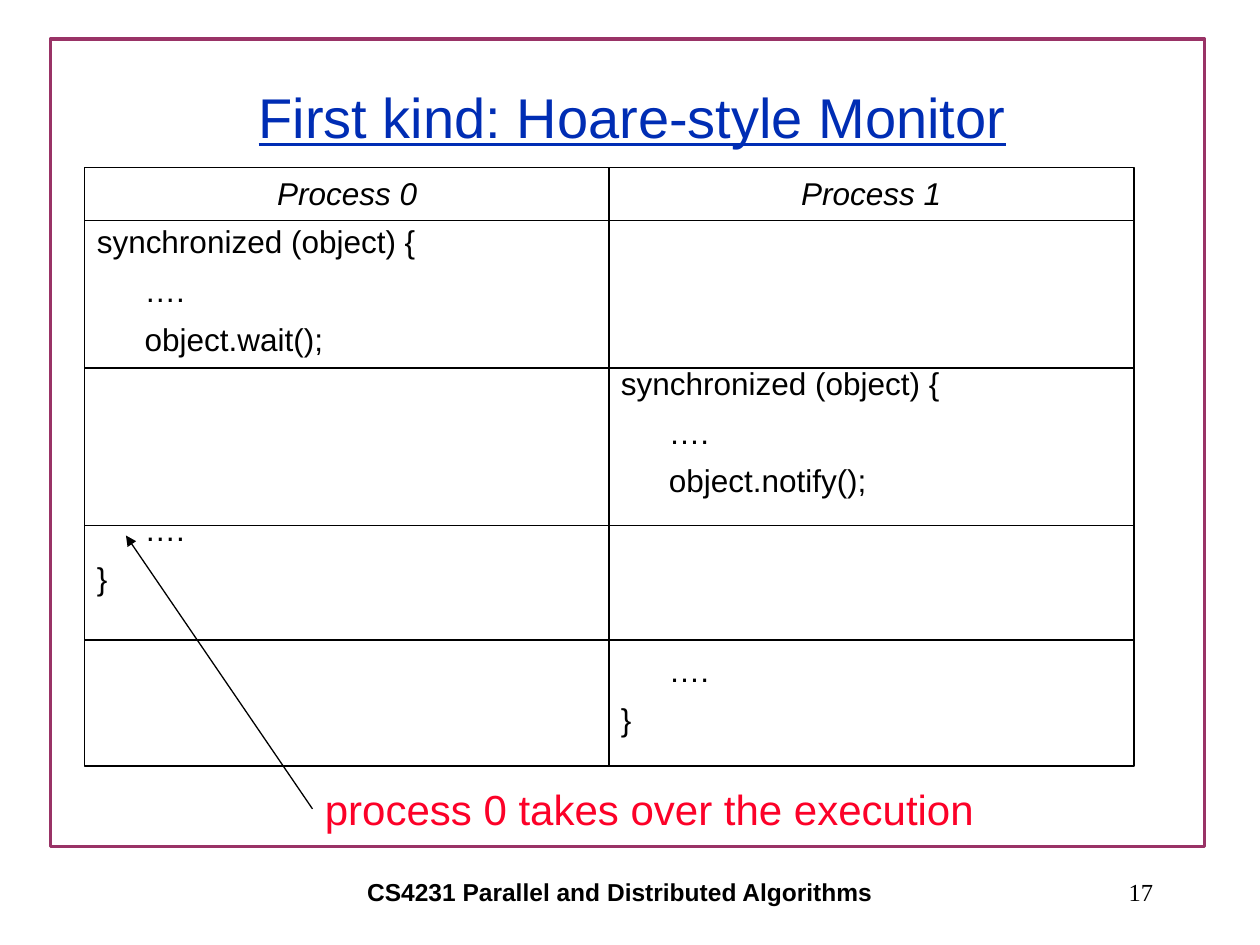
from pptx import Presentation
from pptx.dml.color import RGBColor
from pptx.enum.shapes import MSO_CONNECTOR, MSO_SHAPE
from pptx.enum.text import MSO_ANCHOR, PP_ALIGN
from pptx.oxml.ns import qn
from pptx.util import Inches, Pt
from lxml import etree

RECT = MSO_SHAPE.RECTANGLE
LINE = MSO_CONNECTOR.STRAIGHT
TOP, MIDDLE = MSO_ANCHOR.TOP, MSO_ANCHOR.MIDDLE
LEFT, CENTER, RIGHT = PP_ALIGN.LEFT, PP_ALIGN.CENTER, PP_ALIGN.RIGHT
COLORS = {"frame": "993366", "title": "002DB4", "text": "000000", "note": "FC0128"}
LINE_PITCH, PARAGRAPH_GAP = 26.95, 6.2


def style(p, size, color, align=LEFT, name="Arial"):
    p.alignment = align
    p.font.size = Pt(size)
    p.font.name = name
    p.font.color.rgb = RGBColor.from_string(COLORS[color])


def add_line(x1, y1, x2, y2):
    line = s.shapes.add_connector(LINE, Inches(x1), Inches(y1), Inches(x2), Inches(y2))
    line.line.color.rgb = RGBColor.from_string(COLORS["text"])
    line.line.width = Pt(0.75)
    etree.SubElement(line._element.spPr, qn("a:effectLst"))
    return line


prs = Presentation()
prs.slide_width, prs.slide_height = Inches(10), Inches(7.5)
s = prs.slides.add_slide(prs.slide_layouts[5])

title = s.shapes.title
title.left, title.top = Inches(0.77), Inches(0.46)
title.width, title.height = Inches(8.5), Inches(0.92)
tf = title.text_frame
tf.text = "First kind: Hoare-style Monitor"
tf.vertical_anchor = MIDDLE
style(tf.paragraphs[0], 32, "title", CENTER)
tf.paragraphs[0].font.underline = True

boxes = [
    (0.4, 0.31, 9.16, 6.41, "frame", 2),
    (0.67, 1.33, 4.17, 4.75, "text", 0.75),
    (4.83, 1.33, 4.17, 4.75, "text", 0.75),
]
frames = []
for x, y, w, h, color, weight in boxes:
    sp = s.shapes.add_shape(RECT, Inches(x), Inches(y), Inches(w), Inches(h))
    sp.shadow.inherit = False
    sp.fill.background()
    sp.line.color.rgb = RGBColor.from_string(COLORS[color])
    sp.line.width = Pt(weight)
    frames.append(sp.text_frame)

# each entry: text, indented, lines skipped above
processes = [
    ("Process 0", [
        ("synchronized (object) {", False, 0),
        ("….", True, 0),
        ("object.wait();", True, 0),
        ("….", True, 3),
        ("}", False, 0),
    ]),
    ("Process 1", [
        ("synchronized (object) {", False, 3),
        ("….", True, 0),
        ("object.notify();", True, 0),
        ("….", True, 3),
        ("}", False, 0),
    ]),
]
for tf, (heading, code) in zip(frames[1:], processes):
    tf.word_wrap = True
    tf.vertical_anchor = TOP
    p = tf.paragraphs[0]
    p.text = heading
    style(p, 18, "text", CENTER)
    p.font.italic = True
    for text, indented, skipped in code:
        p = tf.add_paragraph()
        p.text = text
        style(p, 18, "text")
        p.space_before = Pt(PARAGRAPH_GAP + skipped * LINE_PITCH)
        if indented:
            p._p.get_or_add_pPr().set("marL", str(Inches(0.38)))

for y in (1.75, 2.92, 4.17, 5.08):
    add_line(0.67, y, 9, y)

labels = [
    ("process 0 takes over the execution", 2.48, 6.17, 5.35, 24, "note", LEFT, "Arial", False, TOP),
    ("CS4231 Parallel and Distributed Algorithms", 1.42, 6.83, 7, 14, "text", CENTER, "Arial", True, MIDDLE),
    ("17", 7.17, 6.83, 2.08, 14, "text", RIGHT, "Times New Roman", False, MIDDLE),
]
for text, x, y, w, size, color, align, name, bold, anchor in labels:
    tf = s.shapes.add_textbox(Inches(x), Inches(y), Inches(w), Inches(0.5)).text_frame
    tf.word_wrap = align != LEFT
    tf.vertical_anchor = anchor
    p = tf.paragraphs[0]
    p.text = text
    style(p, size, color, align, name)
    p.font.bold = bold

arrow = add_line(2.48, 6.42, 1, 4.25)
etree.SubElement(arrow.line._get_or_add_ln(), qn("a:tailEnd"), type="triangle")

prs.save("out.pptx")
